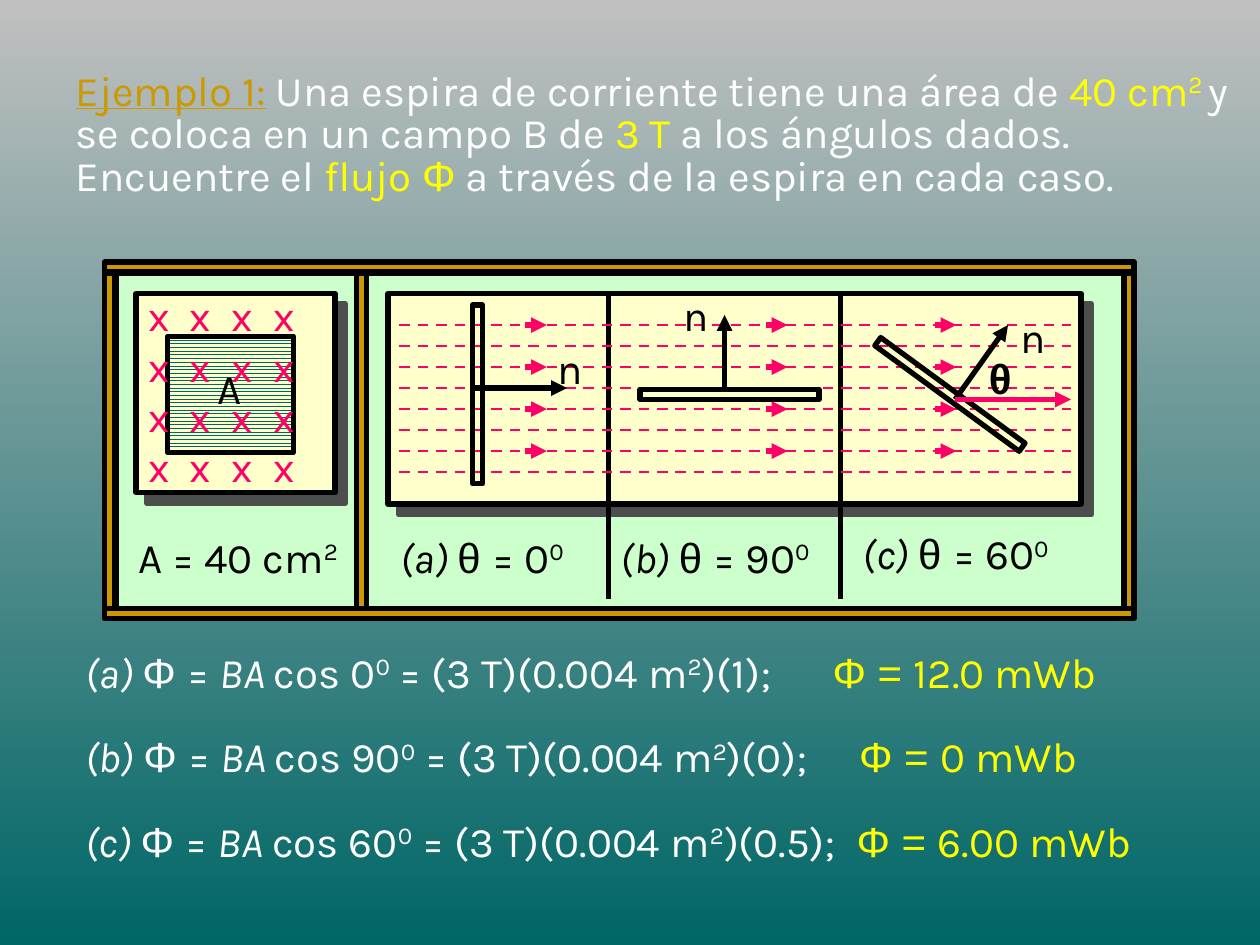
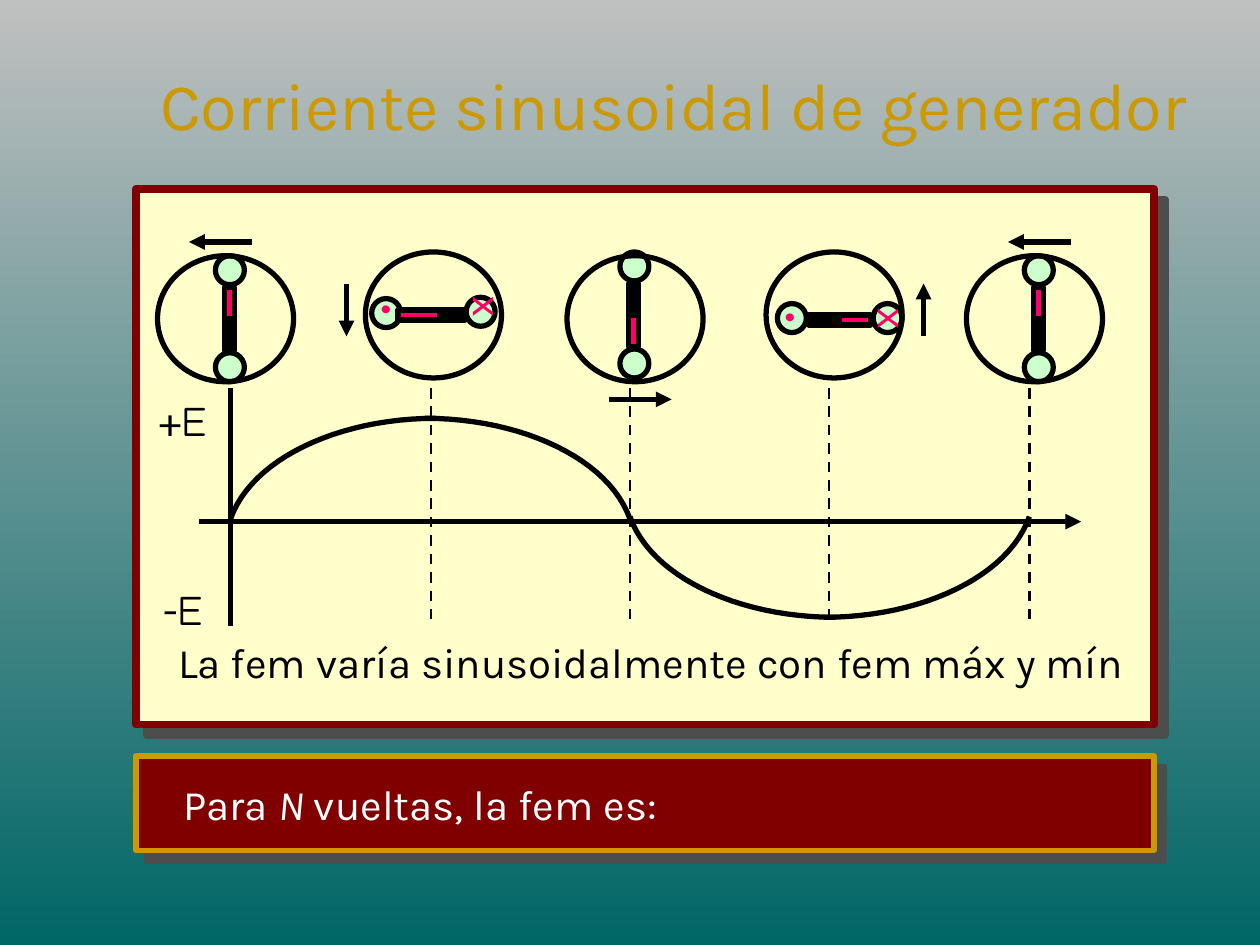
from dataclasses import dataclass
from typing import NamedTuple

from lxml.etree import SubElement
from pptx import Presentation
from pptx.dml.color import RGBColor
from pptx.enum.dml import MSO_LINE, MSO_PATTERN
from pptx.enum.shapes import MSO_CONNECTOR, MSO_SHAPE
from pptx.enum.text import MSO_ANCHOR, PP_ALIGN
from pptx.oxml.ns import qn
from pptx.util import Inches, Pt

# Shared colours and fonts
BLACK = RGBColor(0x00, 0x00, 0x00)
WHITE = RGBColor(0xFF, 0xFF, 0xFF)
YELLOW = RGBColor(0xFF, 0xFF, 0x00)
GOLD = RGBColor(0xCC, 0x99, 0x00)
CREAM = RGBColor(0xFF, 0xFF, 0xCC)
MINT = RGBColor(0xCC, 0xFF, 0xCC)
PINK = RGBColor(0xFF, 0x00, 0x66)
MAROON = RGBColor(0x80, 0x00, 0x00)
SILVER = RGBColor(0xC0, 0xC0, 0xC0)
TEAL = RGBColor(0x00, 0x66, 0x66)
MAIN, GREEK, SCRIPT = "Karla", "Arial", "Comic Neue"


class Box(NamedTuple):
    x: float
    y: float
    w: float
    h: float

    def size(self) -> list:
        return [Inches(v) for v in self]


class Spot(NamedTuple):
    x: float
    y: float


class Arrow(NamedTuple):
    start: Spot
    end: Spot


class Bit(NamedTuple):
    text: str
    color: RGBColor | None = None
    face: str | None = None
    italic: bool = False
    line: bool = False
    high: bool = False


@dataclass
class Case:
    mark: str
    angle: str
    cosine: str
    flux: str
    label: Box
    tab: float


@dataclass
class Dial:
    ring: Spot
    balls: tuple[Spot, Spot]
    black: Box
    red: Box
    arrow: Arrow


# Drawing helpers
def draw(slide, box: Box, fill=None, line=BLACK, width=3.0, kind=MSO_SHAPE.RECTANGLE,
         turn=0.0, shade=False):
    shape = slide.shapes.add_shape(kind, *box.size())
    shape.rotation = turn
    paint(shape, fill, line, width)
    if shade:
        effects = shape._element.spPr.find(qn("a:effectLst"))
        drop = SubElement(effects, qn("a:outerShdw"), blurRad="0", dist=str(Pt(8.5)),
                          dir="2700000", algn="ctr", rotWithShape="0")
        SubElement(drop, qn("a:srgbClr"), val="4D4D4D")
    return shape


def paint(shape, fill, line, width: float) -> None:
    shape.shadow.inherit = False
    if fill is None:
        shape.fill.background()
    else:
        shape.fill.solid()
        shape.fill.fore_color.rgb = fill
    shape.line.color.rgb = line
    shape.line.width = Pt(width)


def rule(slide, start: Spot, end: Spot, color=BLACK, width=3.0, dash=False, head=False) -> None:
    line = slide.shapes.add_connector(
        MSO_CONNECTOR.STRAIGHT, *[Inches(v) for v in (*start, *end)])
    line.line.color.rgb = color
    line.line.width = Pt(width)
    if dash:
        line.line.dash_style = MSO_LINE.DASH
    if head:
        SubElement(line.line._get_or_add_ln(), qn("a:tailEnd"), type="triangle")
    SubElement(line._element.spPr, qn("a:effectLst"))


def fill_runs(par, bits: list[Bit], color, size: float, face=MAIN) -> None:
    par.font.name = face
    par.font.size = Pt(size)
    par.font.color.rgb = color
    for bit in bits:
        run = par.add_run()
        run.text = bit.text
        if bit.color is not None:
            run.font.color.rgb = bit.color
        if bit.face:
            run.font.name = bit.face
        if bit.italic:
            run.font.italic = True
        if bit.line:
            run.font.underline = True
        if bit.high:
            run._r.get_or_add_rPr().set("baseline", "30000")


def write(slide, box: Box, bits: list[Bit], color=BLACK, size=24.0, face=MAIN,
          align=PP_ALIGN.LEFT, turn=0.0, gap=True, tabs: tuple[float, ...] = ()):
    area = slide.shapes.add_textbox(*box.size())
    area.rotation = turn
    area.text_frame.word_wrap = True
    par = area.text_frame.paragraphs[0]
    par.alignment = align
    props = par._p.get_or_add_pPr()
    if gap:
        SubElement(SubElement(props, qn("a:spcBef")), qn("a:spcPct"), val="50000")
    if tabs:
        stops = SubElement(props, qn("a:tabLst"))
        for tab in tabs:
            SubElement(stops, qn("a:tab"), pos=str(Inches(tab)), algn="l")
    fill_runs(par, bits, color, size, face)
    return par


def start(prs, box: Box, bits: list[Bit], size: float):
    slide = prs.slides.add_slide(prs.slide_layouts[5])
    title = slide.shapes.title
    title.left, title.top, title.width, title.height = box.size()
    title.text_frame.word_wrap = True
    title.text_frame.vertical_anchor = MSO_ANCHOR.MIDDLE
    par = title.text_frame.paragraphs[0]
    par.alignment = PP_ALIGN.LEFT
    par.line_spacing = 0.85
    fill_runs(par, bits, GOLD, size)
    return slide


# Slide 1: flux through a loop
CASES = [
    Case("(a) ", "0", "1", "12.0 mWb", Box(3.08, 4.17, 1.67, 0.5), 5.93),
    Case("(b) ", "90", "0", "0 mWb", Box(4.83, 4.17, 1.92, 0.5), 6.14),
    Case("(c) ", "60", "0.5", "6.00 mWb", Box(6.75, 4.14, 1.92, 0.5), 6.12),
]


def draw_field(slide) -> None:
    draw(slide, Box(3.08, 2.33, 5.5, 1.67), CREAM, shade=True)
    for x in (4.83, 6.67):
        rule(slide, Spot(x, 2.33), Spot(x, 4.75))
    for row in range(8):
        y = 2.58 + row / 6
        rule(slide, Spot(3.17, y), Spot(8.5, y), PINK, 1.5, dash=True)
        if row % 2 == 0:
            for x in (4.17, 6.08, 7.42):
                rule(slide, Spot(x, y), Spot(x + 0.17, y), PINK, head=True)
    # Loops, their normals and the angle
    for x, turn in ((3.75, 0), (5.75, 90), (7.5, 306.2)):
        draw(slide, Box(x, 2.42, 0.08, 1.42), turn=turn)
    for tail, tip in ((Spot(3.75, 3.08), Spot(4.5, 3.08)),
                      (Spot(5.75, 3.08), Spot(5.75, 2.5)),
                      (Spot(7.58, 3.17), Spot(8, 2.58))):
        rule(slide, tail, tip, head=True)
    for x, y in ((4.33, 2.67), (5.33, 2.25), (8, 2.42)):
        write(slide, Box(x, y, 0.5, 0.5), [Bit("n")])
    rule(slide, Spot(7.58, 3.17), Spot(8.5, 3.17), PINK, head=True)
    theta = write(slide, Box(7.75, 2.75, 0.42, 0.5), [Bit("θ")], face=GREEK)
    theta.font.bold = True


def draw_area(slide) -> None:
    draw(slide, Box(1.08, 2.33, 1.58, 1.58), CREAM, shade=True)
    loop = draw(slide, Box(1.33, 2.67, 1, 0.92))
    loop.fill.patterned()
    loop.fill.pattern = MSO_PATTERN.ZIG_ZAG
    loop.fill.fore_color.rgb = TEAL
    loop.fill.back_color.rgb = CREAM
    write(slide, Box(1.63, 2.83, 0.5, 0.5), [Bit("A")])
    cross = write(slide, Box(1.08, 2.25, 1.5, 1.7), [], PINK, tabs=(0.33, 0.66, 0.99))
    cross.text = "\v".join(["x\tx\tx\tx"] * 4)
    write(slide, Box(1, 4.17, 1.92, 0.5), [Bit("A = 40 cm"), Bit("2", high=True)])


def build_flux(prs) -> None:
    slide = start(prs, Box(0.5, 0.33, 9.5, 1.5), [
        Bit("Ejemplo 1:", line=True),
        Bit(" Una espira de corriente tiene una área de ", WHITE),
        Bit("40 cm", YELLOW), Bit("2 ", YELLOW, high=True),
        Bit("y se coloca en un campo B de ", WHITE), Bit("3 T", YELLOW),
        Bit(" a los ángulos dados. Encuentre el ", WHITE),
        Bit("flujo ", YELLOW), Bit("Φ", YELLOW, GREEK),
        Bit(" a través de la espira en cada caso.", WHITE)], 24)
    draw(slide, Box(0.92, 2.17, 8, 2.67), MINT)
    draw_area(slide)
    draw_field(slide)
    # Gold frame
    for x in (2.83, 0.83, 8.92):
        draw(slide, Box(x, 2.17, 0.08, 2.67), GOLD)
    for y in (4.83, 2.08):
        draw(slide, Box(0.83, y, 8.17, 0.08), GOLD)
    # Captions and results
    for row, case in enumerate(CASES):
        write(slide, case.label, [
            Bit(case.mark, italic=True), Bit("θ ", face=GREEK),
            Bit(f"= {case.angle}"), Bit("0", high=True)])
        write(slide, Box(0.58, 5.08 + row * 0.67, 9.33, 0.5), [
            Bit(case.mark, italic=True), Bit("Φ ", face=GREEK), Bit("= "),
            Bit("BA ", italic=True), Bit(f"cos {case.angle}"), Bit("0", high=True),
            Bit(" = (3 T)(0.004 m"), Bit("2", high=True), Bit(f")({case.cosine});\t"),
            Bit("Φ = ", YELLOW, GREEK), Bit(case.flux, YELLOW)], WHITE, tabs=(case.tab,))


# Slide 2: generator sine wave
def stand(x: float, ball: float, top: float, arrow: Arrow, flip=False) -> Dial:
    ends = (Spot(ball, top), Spot(ball, top + 0.77))
    high, low = (Box(ball + 0.07, top + gap, 0.08, 0.25) for gap in (0.25, 0.5))
    black, red = (high, low) if flip else (low, high)
    return Dial(Spot(x, 2.03), ends, black, red, arrow)


DIALS = [
    stand(1.25, 1.71, 2.03, Arrow(Spot(2, 1.92), Spot(1.5, 1.92))),
    Dial(Spot(2.9, 2), (Spot(2.95, 2.37), Spot(3.7, 2.36)), Box(3.44, 2.46, 0.25, 0.08),
         Box(3.16, 2.46, 0.33, 0.08), Arrow(Spot(2.75, 2.25), Spot(2.75, 2.67))),
    stand(4.5, 4.92, 2, Arrow(Spot(4.83, 3.17), Spot(5.33, 3.17)), flip=True),
    Dial(Spot(6.08, 2), (Spot(6.17, 2.41), Spot(6.93, 2.41)), Box(6.42, 2.5, 0.25, 0.08),
         Box(6.66, 2.5, 0.25, 0.08), Arrow(Spot(7.33, 2.67), Spot(7.33, 2.25))),
    stand(7.67, 8.13, 2.03, Arrow(Spot(8.5, 1.92), Spot(8, 1.92))),
]


def draw_dial(slide, dial: Dial) -> None:
    for ball in dial.balls:
        draw(slide, Box(*ball, 0.23, 0.23), MINT, kind=MSO_SHAPE.OVAL)
    draw(slide, dial.black, BLACK)
    draw(slide, dial.red, PINK)
    draw(slide, Box(*dial.ring, 1.08, 1), kind=MSO_SHAPE.OVAL)
    rule(slide, *dial.arrow, head=True)


def draw_arc(slide, peak: Spot, end: Spot, steps=24) -> None:
    wide, tall = end.x - peak.x, end.y - peak.y
    spots = []
    for step in range(steps + 1):
        t = step / steps
        a, b, c = 3 * t * (1 - t) ** 2, 3 * t * t * (1 - t), t ** 3
        spots.append((Inches(peak.x + wide * (0.48 * a + 0.9 * b + c)),
                      Inches(peak.y + tall * (0.41 * b + c))))
    pen = slide.shapes.build_freeform(*spots[0])
    pen.add_line_segments(spots[1:], close=False)
    paint(pen.convert_to_shape(), None, BLACK, 3)


def build_wave(prs) -> None:
    slide = start(prs, Box(1.17, 0.25, 8.42, 1.25),
                  [Bit("Corriente sinusoidal de generador")], 38)
    draw(slide, Box(1.08, 6, 8.08, 0.75), MAROON, GOLD, shade=True)
    draw(slide, Box(1.08, 1.5, 8.08, 4.25), CREAM, MAROON, 4.5, shade=True)
    # Axes and guides
    rule(slide, Spot(1.83, 3.08), Spot(1.83, 4.97))
    rule(slide, Spot(1.58, 4.14), Spot(8.58, 4.14), head=True)
    for x in (3.42, 5, 6.58, 8.17):
        rule(slide, Spot(x, 3.08), Spot(x, 4.97), width=1.5, dash=True)
    # Four quarter waves
    for peak, end in ((Spot(3.46, 3.32), Spot(1.83, 4.12)), (Spot(3.37, 3.32), Spot(5, 4.12)),
                      (Spot(6.63, 4.9), Spot(5, 4.1)), (Spot(6.54, 4.9), Spot(8.17, 4.1))):
        draw_arc(slide, peak, end)
    for dial in DIALS:
        draw_dial(slide, dial)
    # Current marks: in and out
    mid = PP_ALIGN.CENTER
    for x, y in ((3.62, 2.2), (6.83, 2.3)):
        write(slide, Box(x, y, 0.33, 0.5), [Bit("x")], PINK, align=mid, turn=270, gap=False)
    for box in (Box(2.9, 2.27, 0.33, 0.77), Box(5.98, 2.33, 0.58, 0.77)):
        write(slide, box, [Bit(".")], PINK, 40, align=mid, turn=180, gap=False)
    # Labels
    for sign, y in (("+", 3.08), ("-", 4.58)):
        write(slide, Box(1.08, y, 0.75, 0.5), [Bit(sign), Bit("E", face=SCRIPT)], align=mid)
    write(slide, Box(1.25, 5, 7.83, 0.5),
          [Bit("La fem varía sinusoidalmente con fem máx y mín")], align=mid)
    write(slide, Box(1.25, 6.13, 4.17, 0.5),
          [Bit("Para "), Bit("N", italic=True), Bit(" vueltas, la fem es:")], WHITE, align=mid)


def main() -> None:
    prs = Presentation()
    prs.slide_width, prs.slide_height = Inches(10), Inches(7.5)
    back = prs.slide_master.background.fill
    back.gradient()
    back.gradient_angle = 270
    for stop, color in zip(back.gradient_stops, (SILVER, TEAL)):
        stop.color.rgb = color
    build_flux(prs)
    build_wave(prs)
    prs.save("out.pptx")


if __name__ == "__main__":
    main()
